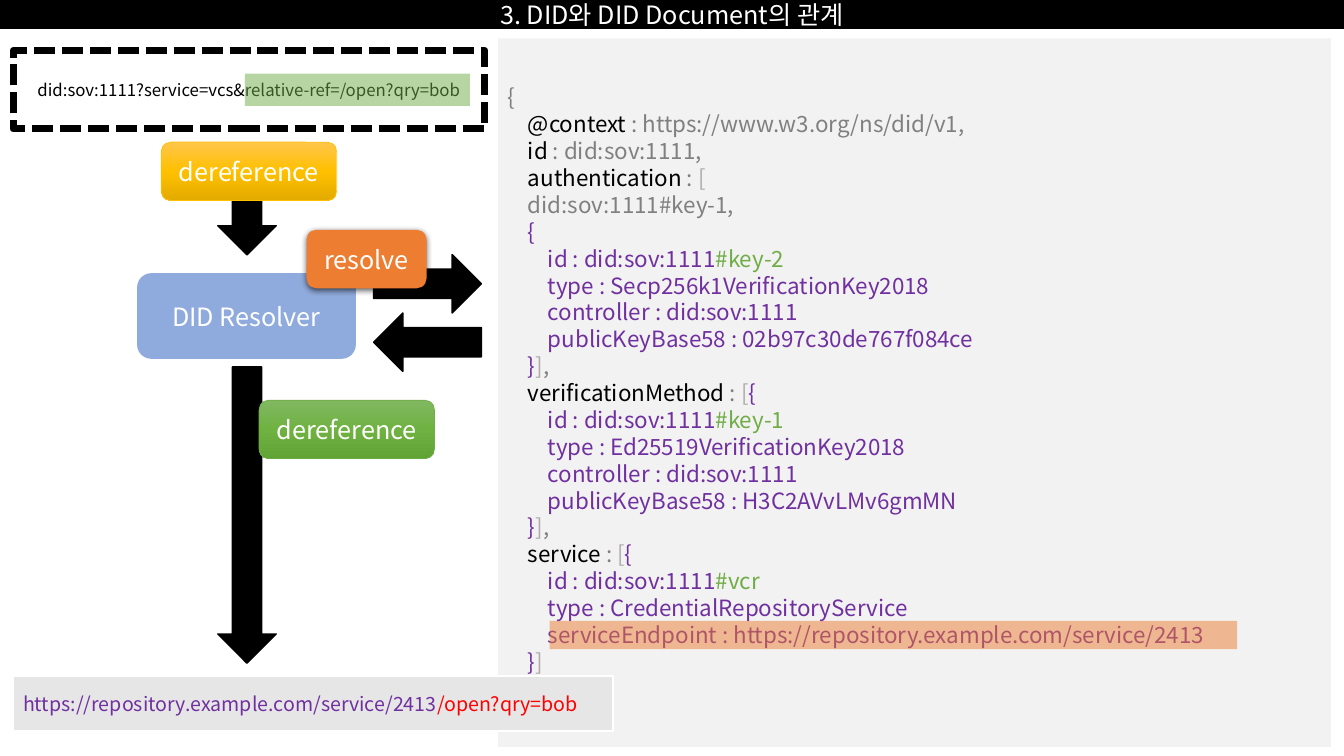
from lxml import etree
from pptx import Presentation
from pptx import util as u
from pptx.dml.color import RGBColor
from pptx.enum import dml, shapes, text
from pptx.oxml import parse_xml
from pptx.oxml.ns import nsdecls, qn

FONT = "Noto Sans CJK KR"
BLACK, WHITE, GRAY, SILVER = "000000", "FFFFFF", "808080", "AFABAB"
PURPLE, GREEN, ORANGE, RED = "7030A0", "70AD47", "ED7D31", "FF0000"

TITLE = "3. DID와 DID Document의 관계"
DID_URL = "did:sov:1111?service=vcs&relative-ref=/open?qry=bob"
ENDPOINT_URL = [("https://repository.example.com/service/2413", PURPLE),
                ("/open?qry=bob", RED)]


def field(name, *rest):
    return [("    " + name, BLACK), (" : ", GRAY), *rest]


def entry(fragment, *details):
    return [[("        id : did:sov:1111", PURPLE), (fragment, GREEN)],
            *[[("        " + detail, PURPLE)] for detail in details]]


LIST_OPEN = ("[", SILVER)
ENTRY_OPEN = ("{", PURPLE)
LIST_CLOSE = [("    }", PURPLE), ("]", SILVER)]
LIST_NEXT = [*LIST_CLOSE, (",", GRAY)]

DOCUMENT = [
    [("{", GRAY)],
    field("@context", ("https://www.w3.org/ns/did/v1,", GRAY)),
    field("id", ("did:sov:1111,", GRAY)),
    field("authentication", LIST_OPEN),
    [("    did:sov:1111#key-1,", GRAY)],
    [("    {", PURPLE)],
    *entry("#key-2", "type : Secp256k1VerificationKey2018",
           "controller : did:sov:1111", "publicKeyBase58 : 02b97c30de767f084ce"),
    LIST_NEXT,
    field("verificationMethod", LIST_OPEN, ENTRY_OPEN),
    *entry("#key-1", "type : Ed25519VerificationKey2018",
           "controller : did:sov:1111", "publicKeyBase58 : H3C2AVvLMv6gmMN"),
    LIST_NEXT,
    field("service", LIST_OPEN, ENTRY_OPEN),
    *entry("#vcr", "type : CredentialRepositoryService",
           "serviceEndpoint : https://repository.example.com/service/2413"),
    LIST_CLOSE,
    [("}", GRAY)],
]

YELLOW_BLEND = ("FFC64B", "FFC000", "E3AB00")
GREEN_BLEND = ("81B861", "6FB242", "62A336")

deck = Presentation()
deck.slide_width, deck.slide_height = u.Inches(13.33), u.Inches(7.5)
slide = deck.slides.add_slide(deck.slide_layouts[6])


def paint(target, color):
    target.solid()
    target.fore_color.rgb = RGBColor.from_string(color)


def blend(box, colors):
    stops = "".join(f'<a:gs pos="{i * 50000}"><a:srgbClr val="{c}"/></a:gs>'
                    for i, c in enumerate(colors))
    box.fill.background()
    blank = box._element.spPr.find(qn("a:noFill"))
    blank.getparent().replace(blank, parse_xml(
        f'<a:gradFill {nsdecls("a")} rotWithShape="1"><a:gsLst>{stops}</a:gsLst>'
        '<a:lin ang="5400000" scaled="0"/></a:gradFill>'))


def add_box(at, fill, kind="RECTANGLE", line=None, width=1, alpha=None):
    box = slide.shapes.add_shape(getattr(shapes.MSO_SHAPE, kind), *map(u.Inches, at))
    box.shadow.inherit = False
    if isinstance(fill, tuple):
        blend(box, fill)
    else:
        paint(box.fill, fill)
    if alpha:
        color = box._element.spPr.find(qn("a:solidFill"))[0]
        etree.SubElement(color, qn("a:alpha"), val=str(alpha * 1000))
    if line:
        paint(box.line.fill, line)
        box.line.width = u.Pt(width)
    else:
        box.line.fill.background()
    return box


def write(box, lines, size=18, color=WHITE, align="CENTER", spacing=None):
    if isinstance(lines, str):
        lines = [[(lines, color)]]
    frame = box.text_frame
    frame.word_wrap = True
    frame.vertical_anchor = text.MSO_ANCHOR.MIDDLE
    for i, spans in enumerate(lines):
        para = frame.add_paragraph() if i else frame.paragraphs[0]
        para.alignment = getattr(text.PP_ALIGN, align)
        if spacing:
            para.line_spacing = u.Pt(spacing)
        for words, shade in spans:
            run = para.add_run()
            run.text = words
            run.font.size = u.Pt(size)
            run.font.name = FONT
            run.font.color.rgb = RGBColor.from_string(shade)
            etree.SubElement(run.font._element, qn("a:ea"), typeface=FONT)


def add_arrow(left, top, length, rotation=0):
    arrow = add_box((left, top, 0.58, length), BLACK, "DOWN_ARROW", line=BLACK)
    arrow.rotation = rotation


def add_step(at, label, fill, line=None):
    step = add_box(at, fill, "ROUNDED_RECTANGLE", line=line, width=0.5)
    write(step, label)
    return step


write(add_box((0, 0, 13.33, 0.28), BLACK, line=BLACK), TITLE)
write(add_box((4.94, 0.38, 8.26, 7.03), "F2F2F2"), DOCUMENT,
      size=16, align="LEFT", spacing=19.2)

add_step((1.36, 2.71, 2.17, 0.85), "DID Resolver", "8FAADC")
add_arrow(2.16, 1.46, 1.07)
add_arrow(3.95, 2.28, 1.07, 270)
add_arrow(3.95, 2.86, 1.07, 90)
add_step((1.6, 1.41, 1.74, 0.58), "dereference", YELLOW_BLEND, line="FFC000")
resolve = add_step((3.04, 2.28, 1.19, 0.58), "resolve", ORANGE)
resolve._element.spPr.find(qn("a:effectLst")).append(parse_xml(
    f'<a:outerShdw {nsdecls("a")} blurRad="57150" dist="19050" dir="5400000" '
    'algn="ctr" rotWithShape="0"><a:srgbClr val="000000">'
    '<a:alpha val="63000"/></a:srgbClr></a:outerShdw>'))

add_box((5.45, 6.16, 6.82, 0.28), ORANGE, alpha=50)
add_arrow(2.16, 3.64, 2.94)
write(add_box((0.13, 6.71, 5.95, 0.54), "E7E6E6", line=WHITE, width=1.5),
      [ENDPOINT_URL], size=14, align="LEFT")
add_step((2.57, 3.97, 1.74, 0.58), "dereference", GREEN_BLEND, line=GREEN)

did_box = add_box((0.13, 0.5, 4.68, 0.78), WHITE, line=BLACK, width=5)
did_box.line.dash_style = dml.MSO_LINE.SQUARE_DOT
write(did_box, DID_URL, size=12, color=BLACK)
add_box((2.43, 0.73, 2.23, 0.32), GREEN, alpha=50)

deck.save("out.pptx")
